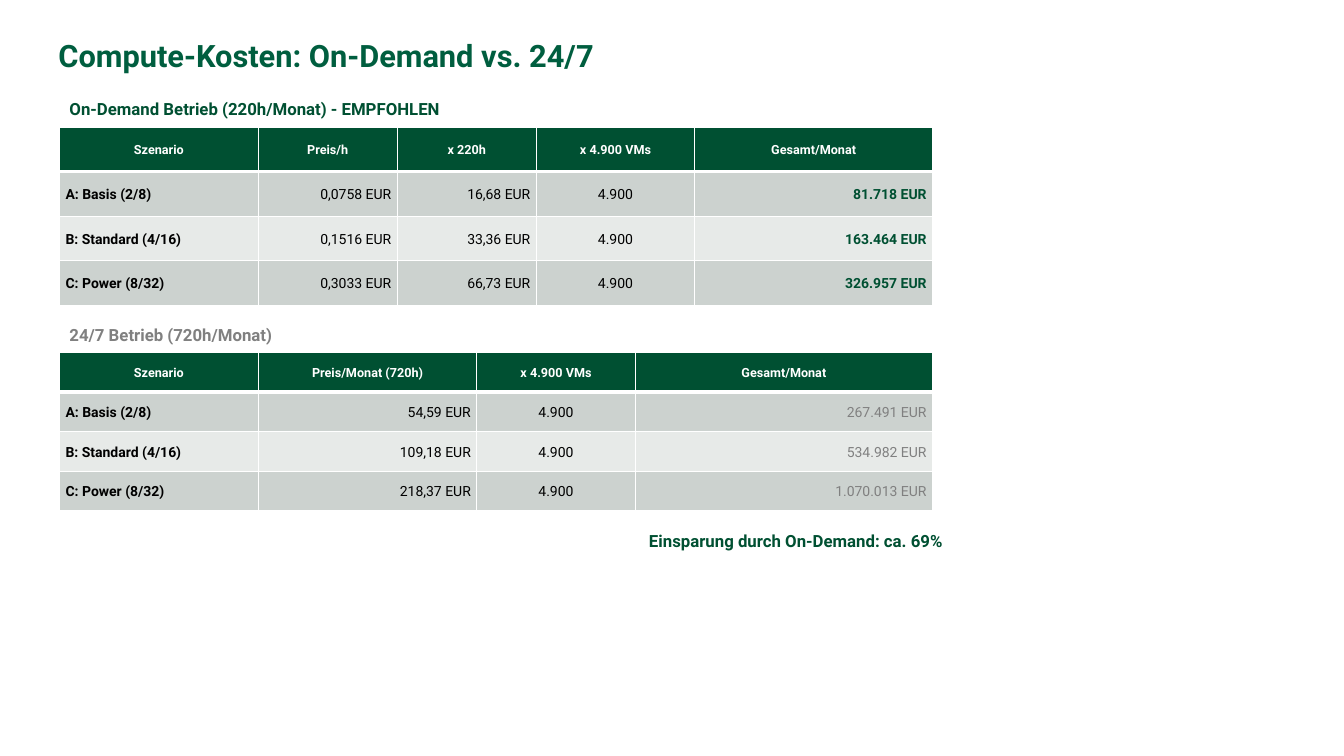
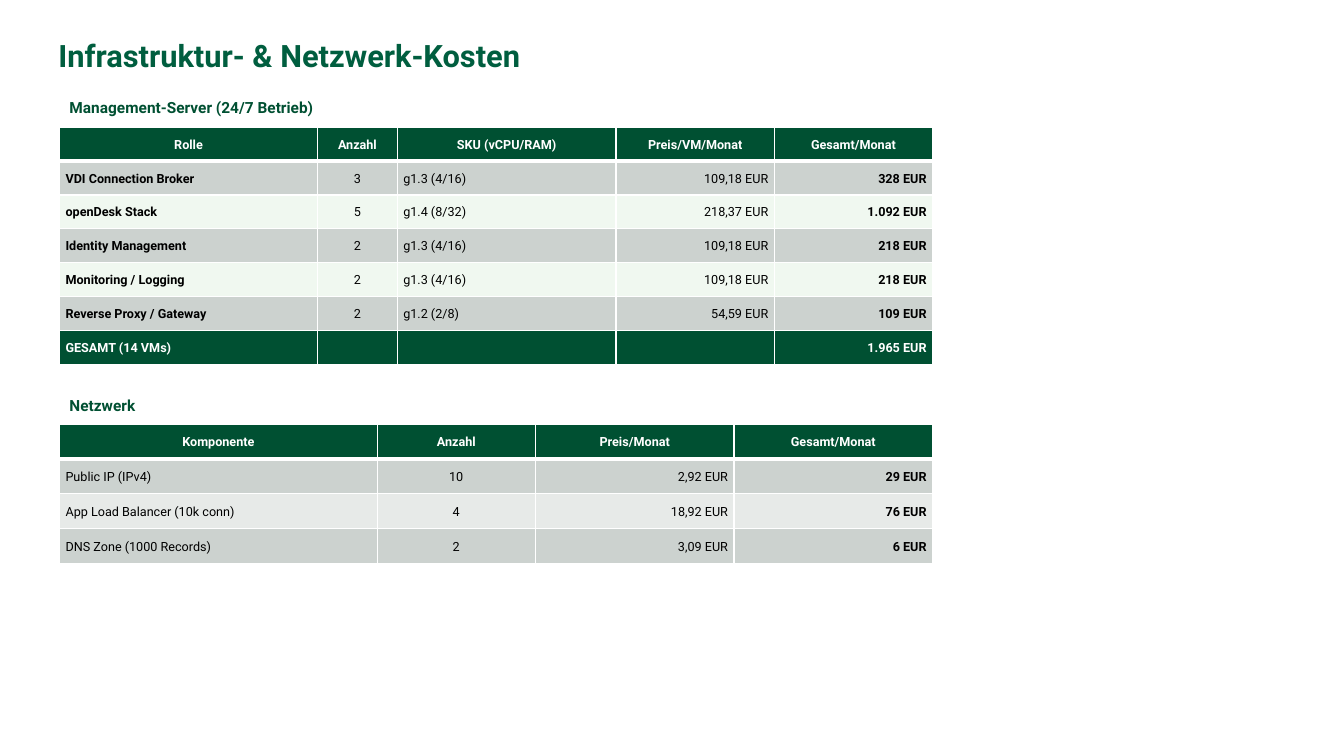
from dataclasses import dataclass

from lxml.etree import SubElement
from pptx import Presentation
from pptx.dml.color import RGBColor
from pptx.enum.text import MSO_ANCHOR as Anchor, MSO_AUTO_SIZE as AutoSize, PP_ALIGN as Align
from pptx.oxml.ns import qn
from pptx.util import Inches, Pt


@dataclass(frozen=True)
class Theme:
    font: str = "Roboto"
    title: str = "005E3F"
    green: str = "005032"
    gray: str = "808080"
    black: str = "000000"
    white: str = "FFFFFF"
    band_dark: str = "CCD2CF"
    band_light: str = "E7EAE8"
    band_mint: str = "F0F8F0"
    title_size: int = 22
    heading_size: int = 12
    subheading_size: int = 11
    body_size: int = 10
    small_size: int = 9


THEME = Theme()
LEFT = 0.59
HEADING_WIDTH, HEADING_HEIGHT = 4.72, 0.31
HEADING_TO_TABLE = 0.35


@dataclass(frozen=True)
class Column:
    title: str
    width: float
    align: Align = Align.LEFT
    bold: bool = False
    color: str = THEME.black


def write(tf, text, size, color, bold=True, align=Align.LEFT, spacing=1.1):
    p = tf.paragraphs[0]
    p.alignment = align
    p.line_spacing = spacing
    if not text:
        p._p.get_or_add_endParaRPr().set("sz", str(size * 100))
        return
    r = p.add_run()
    r.text = text
    r.font.name = THEME.font
    r.font.size = Pt(size)
    r.font.bold = bold
    r.font.color.rgb = RGBColor.from_string(color)


def add_slide(prs, title):
    s = prs.slides.add_slide(prs.slide_layouts[5])
    sp = s.shapes.title
    sp.left, sp.top, sp.width, sp.height = map(Inches, (0.58, 0.41, 11.02, 0.85))
    tf = sp.text_frame
    tf.margin_left = tf.margin_top = tf.margin_right = tf.margin_bottom = 0
    tf.vertical_anchor = Anchor.TOP
    tf.auto_size = AutoSize.NONE
    write(tf, title, THEME.title_size, THEME.title, spacing=0.9)
    return s


def add_label(s, text, top, size, color=THEME.green, left=LEFT,
              width=HEADING_WIDTH, align=Align.LEFT):
    sp = s.shapes.add_textbox(*map(Inches, (left, top, width, HEADING_HEIGHT)))
    tf = sp.text_frame
    tf.word_wrap = True
    tf.auto_size = AutoSize.SHAPE_TO_FIT_TEXT
    write(tf, text, size, color, align=align)


def set_borders(cell, top, bottom):
    """Draw white cell edges; top and bottom are widths in points."""
    tc_pr = cell._tc.get_or_add_tcPr()
    for side, width in (("L", 1), ("R", 1), ("T", top), ("B", bottom)):
        line = SubElement(tc_pr, qn(f"a:ln{side}"), w=str(Pt(width)))
        fill = SubElement(line, qn("a:solidFill"))
        SubElement(fill, qn("a:srgbClr"), val=THEME.white)


def format_cell(cell, text, fill, size, color, bold, align, top=1, bottom=1):
    set_borders(cell, top, bottom)
    cell.fill.solid()
    cell.fill.fore_color.rgb = RGBColor.from_string(fill)
    cell.margin_left = cell.margin_right = Inches(0.06)
    cell.margin_top = cell.margin_bottom = Inches(0.02)
    cell.vertical_anchor = Anchor.MIDDLE
    write(cell.text_frame, text, size, color, bold, align)


def add_price_table(s, top, height, columns, rows, size=THEME.small_size,
                    light=THEME.band_light, has_total=False):
    n_rows = len(rows) + 1
    width = sum(column.width for column in columns)
    table = s.shapes.add_table(n_rows, len(columns),
                               *map(Inches, (LEFT, top, width, height))).table
    for row in table.rows:
        row.height = Inches(height / n_rows)
    for c, column in enumerate(columns):
        table.columns[c].width = Inches(column.width)
        format_cell(table.cell(0, c), column.title, THEME.green, THEME.small_size,
                    THEME.white, True, Align.CENTER, bottom=3)
        for i, row in enumerate(rows, 1):
            if has_total and i == len(rows):
                fill, color = THEME.green, THEME.white
            else:
                fill, color = (THEME.band_dark if i % 2 else light), column.color
            format_cell(table.cell(i, c), row[c], fill, size, color, column.bold,
                        column.align, top=3 if i == 1 else 1)


def add_section(s, heading, top, heading_size, height, columns, rows,
                heading_color=THEME.green, **options):
    """Add a heading with its price table below."""
    add_label(s, heading, top, heading_size, heading_color)
    add_price_table(s, top + HEADING_TO_TABLE, height, columns, rows, **options)


def build_compute_costs(prs):
    s = add_slide(prs, "Compute-Kosten: On-Demand vs. 24/7")
    scenario = Column("Szenario", 1.97, bold=True)
    vms = Column("x 4.900 VMs", 1.57, Align.CENTER)
    add_section(
        s, "On-Demand Betrieb (220h/Monat) - EMPFOHLEN", 0.91, THEME.heading_size, 1.77,
        [scenario,
         Column("Preis/h", 1.38, Align.RIGHT),
         Column("x 220h", 1.38, Align.RIGHT),
         vms,
         Column("Gesamt/Monat", 2.36, Align.RIGHT, True, THEME.green)],
        [("A: Basis (2/8)", "0,0758 EUR", "16,68 EUR", "4.900", "81.718 EUR"),
         ("B: Standard (4/16)", "0,1516 EUR", "33,36 EUR", "4.900", "163.464 EUR"),
         ("C: Power (8/32)", "0,3033 EUR", "66,73 EUR", "4.900", "326.957 EUR")],
        size=THEME.body_size)
    add_section(
        s, "24/7 Betrieb (720h/Monat)", 3.15, THEME.heading_size, 1.57,
        [scenario,
         Column("Preis/Monat (720h)", 2.17, Align.RIGHT),
         vms,
         Column("Gesamt/Monat", 2.95, Align.RIGHT, color=THEME.gray)],
        [("A: Basis (2/8)", "54,59 EUR", "4.900", "267.491 EUR"),
         ("B: Standard (4/16)", "109,18 EUR", "4.900", "534.982 EUR"),
         ("C: Power (8/32)", "218,37 EUR", "4.900", "1.070.013 EUR")],
        heading_color=THEME.gray, size=THEME.body_size)
    add_label(s, "Einsparung durch On-Demand: ca. 69%", 5.2, THEME.heading_size,
              left=5.51, width=3.94, align=Align.RIGHT)


def build_infrastructure_costs(prs):
    s = add_slide(prs, "Infrastruktur- & Netzwerk-Kosten")
    add_section(
        s, "Management-Server (24/7 Betrieb)", 0.91, THEME.subheading_size, 2.36,
        [Column("Rolle", 2.56, bold=True),
         Column("Anzahl", 0.79, Align.CENTER),
         Column("SKU (vCPU/RAM)", 2.17),
         Column("Preis/VM/Monat", 1.57, Align.RIGHT),
         Column("Gesamt/Monat", 1.57, Align.RIGHT, True)],
        [("VDI Connection Broker", "3", "g1.3 (4/16)", "109,18 EUR", "328 EUR"),
         ("openDesk Stack", "5", "g1.4 (8/32)", "218,37 EUR", "1.092 EUR"),
         ("Identity Management", "2", "g1.3 (4/16)", "109,18 EUR", "218 EUR"),
         ("Monitoring / Logging", "2", "g1.3 (4/16)", "109,18 EUR", "218 EUR"),
         ("Reverse Proxy / Gateway", "2", "g1.2 (2/8)", "54,59 EUR", "109 EUR"),
         ("GESAMT (14 VMs)", "", "", "", "1.965 EUR")],
        light=THEME.band_mint, has_total=True)
    add_section(
        s, "Netzwerk", 3.86, THEME.subheading_size, 1.38,
        [Column("Komponente", 3.15),
         Column("Anzahl", 1.57, Align.CENTER),
         Column("Preis/Monat", 1.97, Align.RIGHT),
         Column("Gesamt/Monat", 1.97, Align.RIGHT, True)],
        [("Public IP (IPv4)", "10", "2,92 EUR", "29 EUR"),
         ("App Load Balancer (10k conn)", "4", "18,92 EUR", "76 EUR"),
         ("DNS Zone (1000 Records)", "2", "3,09 EUR", "6 EUR")])


def main():
    prs = Presentation()
    prs.slide_width, prs.slide_height = Inches(13.33), Inches(7.5)
    build_compute_costs(prs)
    build_infrastructure_costs(prs)
    prs.save("out.pptx")


if __name__ == "__main__":
    main()
